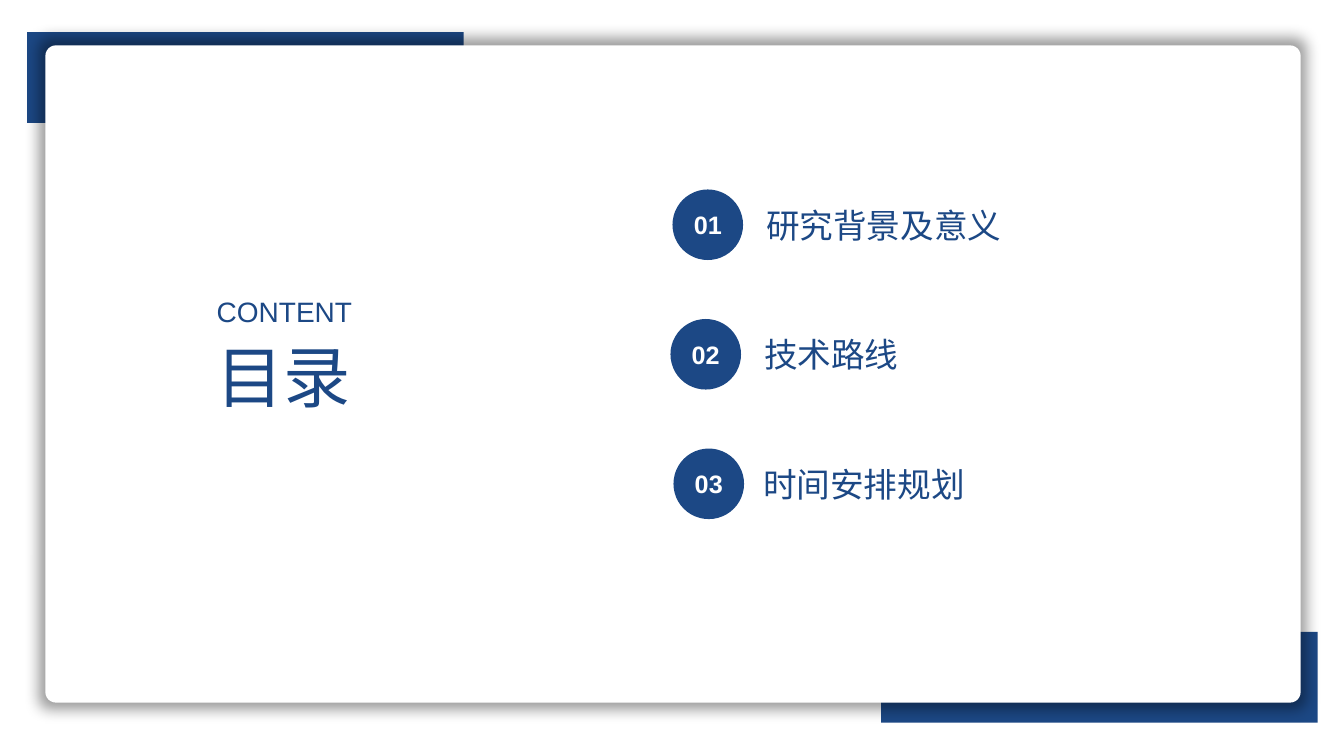
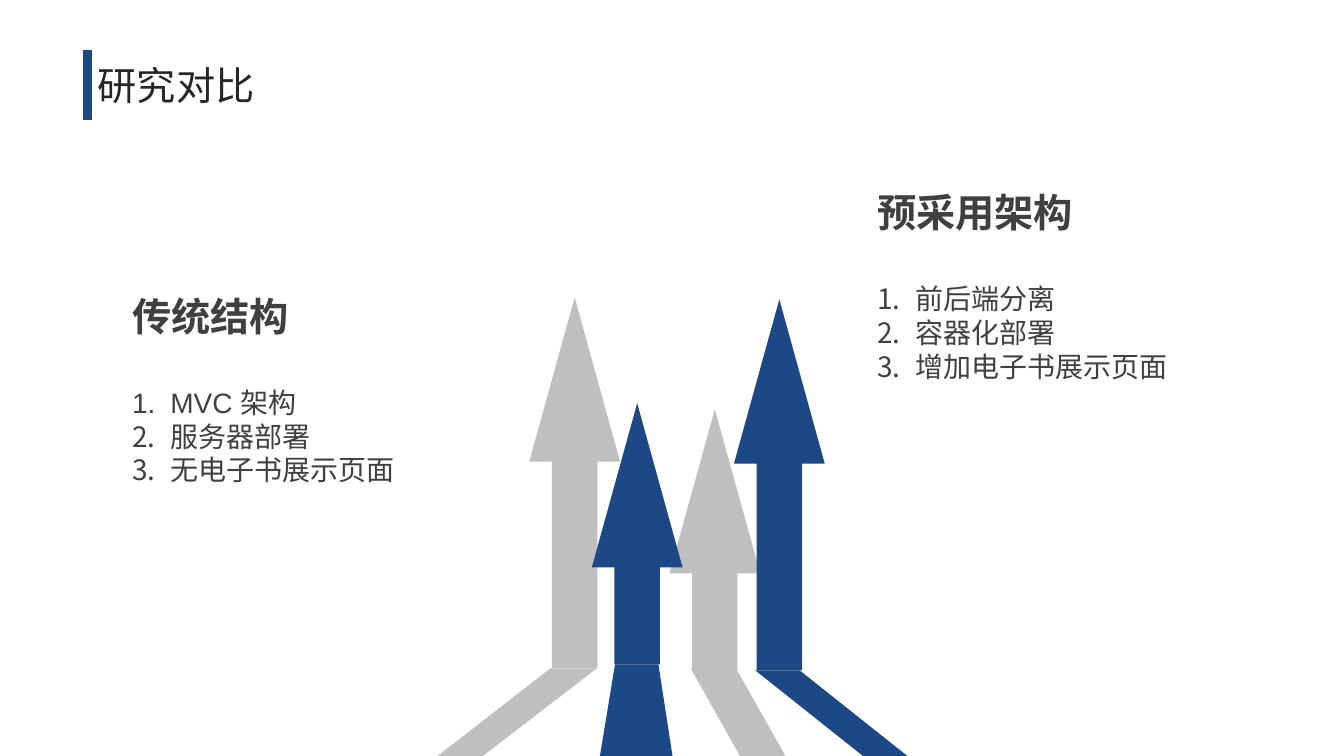
from dataclasses import dataclass

from lxml import etree
from pptx import Presentation
from pptx.dml.color import RGBColor
from pptx.enum.shapes import MSO_CONNECTOR, MSO_SHAPE
from pptx.enum.text import MSO_ANCHOR, MSO_AUTO_SIZE, PP_ALIGN
from pptx.oxml import parse_xml
from pptx.oxml.ns import nsdecls, qn
from pptx.util import Inches, Pt

RECT, ROUND = MSO_SHAPE.RECTANGLE, MSO_SHAPE.ROUNDED_RECTANGLE
OVAL, ARROW = MSO_SHAPE.OVAL, MSO_SHAPE.UP_ARROW
LEFT, CENTER = PP_ALIGN.LEFT, PP_ALIGN.CENTER
TOP, MIDDLE = MSO_ANCHOR.TOP, MSO_ANCHOR.MIDDLE


@dataclass(frozen=True)
class Theme:
    font: str = "Arial"
    blue: str = "1C4885"
    gray: str = "BFBFBF"
    white: str = "FFFFFF"
    dark: str = "262626"
    text: str = "404040"
    hero: int = 48
    head: int = 28
    topic: int = 24
    body: int = 20
    badge: int = 18


THEME = Theme()

AGENDA = {
    "title": "目录",
    "label": "CONTENT",
    "topics": [
        ("研究背景及意义", 6.67, 7.5),
        ("技术路线", 6.65, 7.48),
        ("时间安排规划", 6.68, 7.47),
    ],
}
VERSUS = {
    "title": "研究对比",
    "lists": [
        ("传统结构", ["MVC 架构", "服务器部署", "无电子书展示页面"], 1.21, 2.85),
        ("预采用架构", ["前后端分离", "容器化部署", "增加电子书展示页面"], 8.6, 1.82),
    ],
    "arrows": [
        (THEME.gray, 5.25, 2.95, 3.68, 6.63, (5.46, 5.92), (4.34, 4.79)),
        (THEME.gray, 6.64, 4.06, 2.59, 6.63, (6.85, 7.3), (7.34, 7.79)),
        (THEME.blue, 7.28, 2.97, 3.68, 6.65, (7.49, 7.93), (8.56, 9)),
        (THEME.blue, 5.87, 4, 2.59, 6.59, (6.1, 6.53), (5.95, 6.67)),
    ],
}
BANDS = [(8.74, 6.27), (0.27, 0.32)]
FLOOR = 7.5


def box(*sides):
    return [Inches(side) for side in sides]


def paint(shape, color):
    shape.shadow.inherit = False
    shape.fill.solid()
    shape.fill.fore_color.rgb = RGBColor.from_string(color)
    shape.line.fill.background()
    return shape


def draw(slide, kind, area, color):
    return paint(slide.shapes.add_shape(kind, *box(*area)), color)


def style(para, size, color, bold=False, align=LEFT):
    para.alignment = align
    para.line_spacing = 1.0
    para.space_before = para.space_after = Pt(0)
    font = para.font
    font.name, font.size, font.bold = THEME.font, Pt(size), bold
    font.color.rgb = RGBColor.from_string(color)


def setup(frame, anchor=TOP):
    frame.word_wrap = True
    frame.auto_size = MSO_AUTO_SIZE.NONE
    frame.vertical_anchor = anchor


def place(shape, area):
    shape.left, shape.top, shape.width, shape.height = box(*area)
    setup(shape.text_frame)


def write(shape, text, size, color):
    shape.text_frame.text = text
    style(shape.text_frame.paragraphs[0], size, color)


def title(slide, text, area, size, color):
    shape = slide.shapes.title
    place(shape, area)
    write(shape, text, size, color)
    shape.element.getparent().append(shape.element)


def label(slide, text, area, size):
    shape = slide.shapes.add_textbox(*box(*area))
    setup(shape.text_frame)
    write(shape, text, size, THEME.blue)


def badge(slide, text, area):
    shape = draw(slide, OVAL, area, THEME.blue)
    frame = shape.text_frame
    setup(frame, MIDDLE)
    frame.margin_left = frame.margin_right = 0
    frame.text = text
    style(frame.paragraphs[0], THEME.badge, THEME.white, True, CENTER)


def glow(shape):
    props = shape.element.spPr
    props.remove(props.find(qn("a:effectLst")))
    props.append(parse_xml(
        f'<a:effectLst {nsdecls("a")}>'
        '<a:outerShdw blurRad="127000" sx="101000" sy="102000" algn="ctr" '
        'rotWithShape="0"><a:prstClr val="black"><a:alpha val="40000"/>'
        '</a:prstClr></a:outerShdw></a:effectLst>'))


def bullet(para, kind, indent=0, **attrs):
    props = para._p.get_or_add_pPr()
    props.set("marL", str(Inches(indent)))
    props.set("indent", str(-Inches(indent)))
    mark = etree.Element(qn(kind), attrs)
    props.find(qn("a:defRPr")).addprevious(mark)


def points(shape, head, items, left, top):
    place(shape, (left, top, 3.33, 2.05))
    frame = shape.text_frame
    frame.text = "\n".join([head, *items])
    first, *rest = frame.paragraphs
    style(first, THEME.head, THEME.text, True)
    first.space_after = Pt(THEME.head * 1.18)
    bullet(first, "a:buNone")
    for para in rest:
        style(para, THEME.body, THEME.text)
        bullet(para, "a:buAutoNum", 0.38, type="arabicPeriod")


def beam(slide, color, top, upper, lower):
    (a, b), (c, d) = upper, lower
    start, *others = [box(x, y) for x, y in
                      [(a, top), (b, top), (d, FLOOR), (c, FLOOR)]]
    path = slide.shapes.build_freeform(*start, scale=1.0)
    path.add_line_segments(others, close=True)
    paint(path.convert_to_shape(), color)


def agenda(deck):
    slide = deck.slides.add_slide(deck.slide_layouts[5])
    for left, top in BANDS:
        draw(slide, RECT, (left, top, 4.33, 0.9), THEME.blue)
    card = draw(slide, ROUND, (0.45, 0.45, 12.45, 6.52), THEME.white)
    card.adjustments[0] = 0.016
    glow(card)
    title(slide, AGENDA["title"], (2.05, 3.28, 2.54, 0.91),
          THEME.hero, THEME.blue)
    label(slide, AGENDA["label"], (2.05, 2.87, 2.54, 0.44), THEME.body)
    for i, (text, dot, left) in enumerate(AGENDA["topics"]):
        top = 1.88 + i * 1.285
        badge(slide, f"{i + 1:02}", (dot, top, 0.7, 0.7))
        label(slide, text, (left, top + 0.1, 4.05, 0.5), THEME.topic)


def versus(deck):
    slide = deck.slides.add_slide(deck.slide_layouts[3])
    title(slide, VERSUS["title"], (0.87, 0.56, 3.11, 0.57),
          THEME.head, THEME.dark)
    bar = slide.shapes.add_connector(
        MSO_CONNECTOR.STRAIGHT, *box(0.87, 0.5, 0.87, 1.19))
    bar.line.width = Pt(6)
    bar.line.color.rgb = RGBColor.from_string(THEME.blue)
    etree.SubElement(bar.element.spPr, qn("a:effectLst"))
    for color, left, top, height, base, upper, lower in VERSUS["arrows"]:
        arrow = draw(slide, ARROW, (left, top, 0.9, height), color)
        arrow.adjustments[0], arrow.adjustments[1] = 0.5, 1.81
        beam(slide, color, base, upper, lower)
    for i, data in enumerate(VERSUS["lists"], 1):
        points(slide.placeholders[i], *data)


def main():
    deck = Presentation()
    deck.slide_width, deck.slide_height = box(13.33, FLOOR)
    agenda(deck)
    versus(deck)
    deck.save("out.pptx")


if __name__ == "__main__":
    main()
